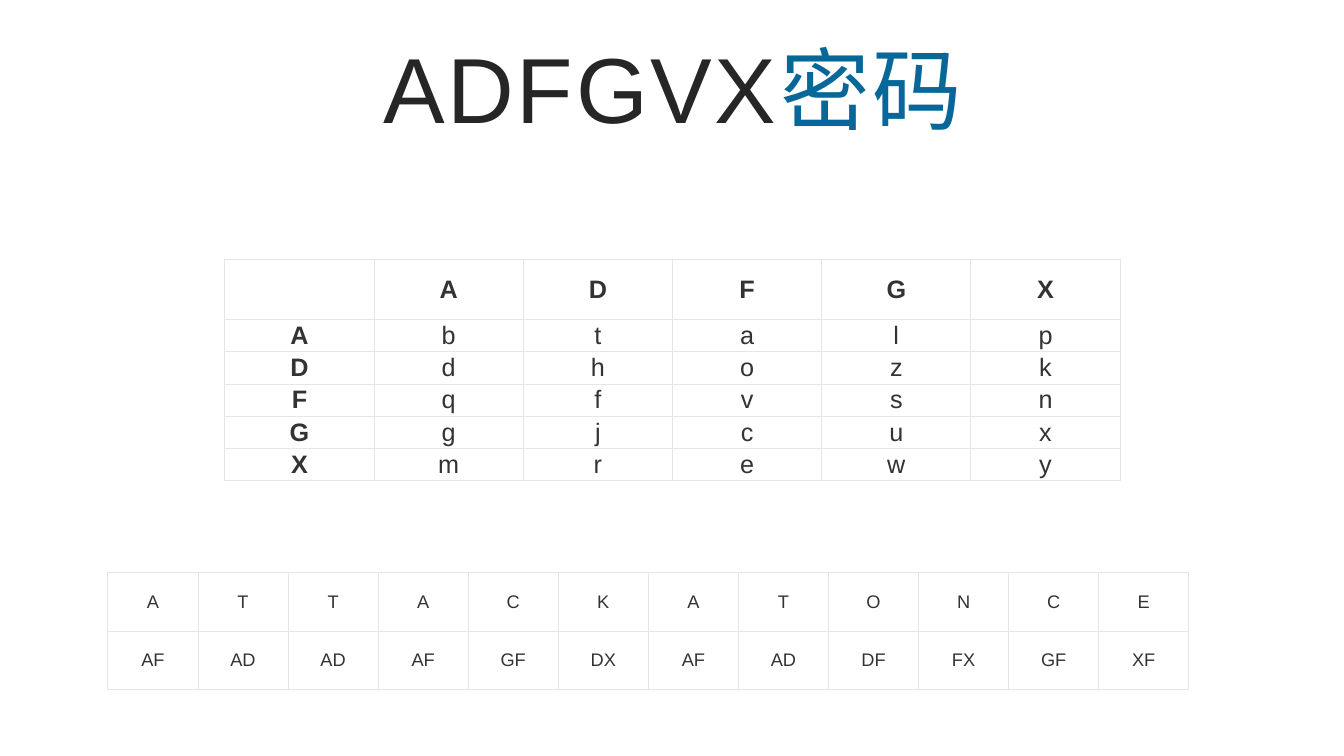
from lxml import etree
from pptx import Presentation
from pptx.dml.color import RGBColor
from pptx.enum import text
from pptx.oxml import ns
from pptx.util import Inches, Pt

FONT = "Arial"
INK = "333333"
RULE = "E6E6E6"
WHITE = "FFFFFF"

SQUARE = [" ADFGX", "Abtalp", "Ddhozk", "Fqfvsn", "Ggjcux", "Xmrewy"]
PLAIN = "ATTACKATONCE"
CODE = "AF AD AD AF GF DX AF AD DF FX GF XF".split()


def color(code):
    return RGBColor.from_string(code)


def write(para, words, size=18, ink=INK, bold=False, space=None):
    """Add a run; space is the letter spacing in points."""
    run = para.add_run()
    run.text = words
    run.font.name = FONT
    run.font.size = Pt(size)
    run.font.bold = bold
    run.font.color.rgb = color(ink)
    if space:
        run.font._element.set("spc", str(space * 100))


def inset(box, x, y):
    box.margin_left = box.margin_right = Inches(x)
    box.margin_top = box.margin_bottom = Inches(y)


def border(cell):
    props = cell._tc.get_or_add_tcPr()
    for side in ("lnL", "lnR", "lnT", "lnB"):
        line = etree.SubElement(props, ns.qn("a:" + side), w=str(Pt(0.75)))
        fill = etree.SubElement(line, ns.qn("a:solidFill"))
        etree.SubElement(fill, ns.qn("a:srgbClr"), val=RULE)


def grid(slide, rows, left, top, width, highs, size, pad, heads=False):
    """Draw a ruled table; heads makes its first row and column bold."""
    count = len(rows[0])
    frame = slide.shapes.add_table(
        len(rows), count, Inches(left), Inches(top),
        Inches(width), Inches(sum(highs)))
    table = frame.table
    table.first_row = table.horz_banding = False
    for col in table.columns:
        col.width = Inches(width / count)
    for r, (row, high) in enumerate(zip(rows, highs)):
        table.rows[r].height = Inches(high)
        for c, words in enumerate(row):
            cell = table.cell(r, c)
            border(cell)
            cell.fill.solid()
            cell.fill.fore_color.rgb = color(WHITE)
            cell.vertical_anchor = text.MSO_ANCHOR.MIDDLE
            inset(cell, pad, 0.02)
            para = cell.text_frame.paragraphs[0]
            para.alignment = text.PP_ALIGN.CENTER
            if words.strip():
                write(para, words, size=size, bold=heads and 0 in (r, c))


def head(slide):
    title = slide.shapes.title
    title.left, title.top = Inches(0.67), Inches(0.3)
    title.width, title.height = Inches(12), Inches(1.25)
    frame = title.text_frame
    frame.auto_size = text.MSO_AUTO_SIZE.NONE
    frame.vertical_anchor = text.MSO_ANCHOR.MIDDLE
    inset(frame, 0.13, 0.07)
    para = frame.paragraphs[0]
    para.alignment = text.PP_ALIGN.CENTER
    para.line_spacing = 0.9
    write(para, "ADFGVX", size=66, ink="262626", space=2)
    write(para, "密码", size=64, ink="076798", space=2)


def main():
    deck = Presentation()
    deck.slide_width, deck.slide_height = Inches(13.33), Inches(7.5)
    slide = deck.slides.add_slide(deck.slide_layouts[5])
    head(slide)
    grid(slide, SQUARE, 2.23, 2.57, 8.88, [0.6] + [0.32] * 5,
         size=18, pad=0.1, heads=True)
    grid(slide, [PLAIN, CODE], 1.07, 5.68, 10.72, [0.58] * 2,
         size=13, pad=0.08)
    deck.save("out.pptx")


if __name__ == "__main__":
    main()
